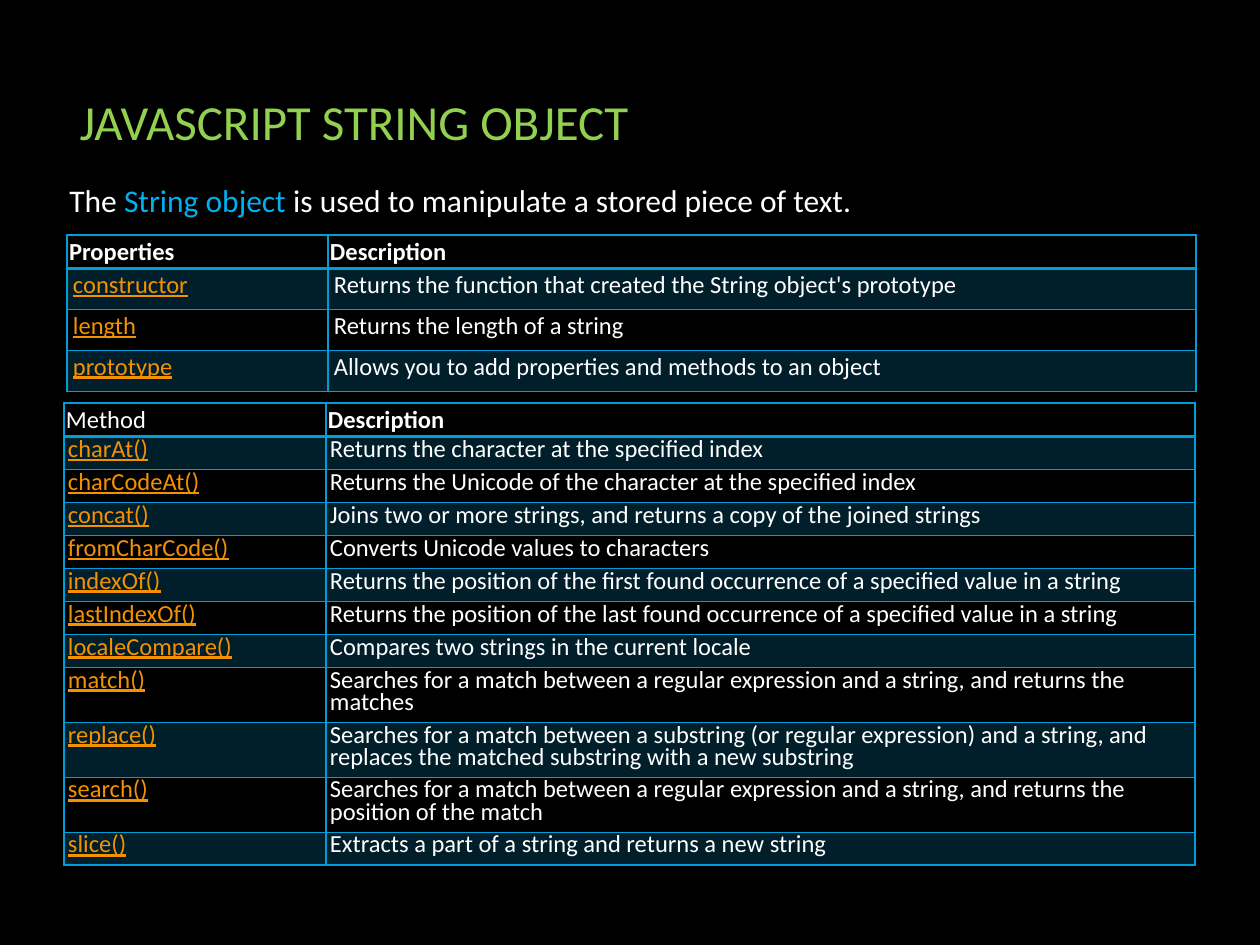
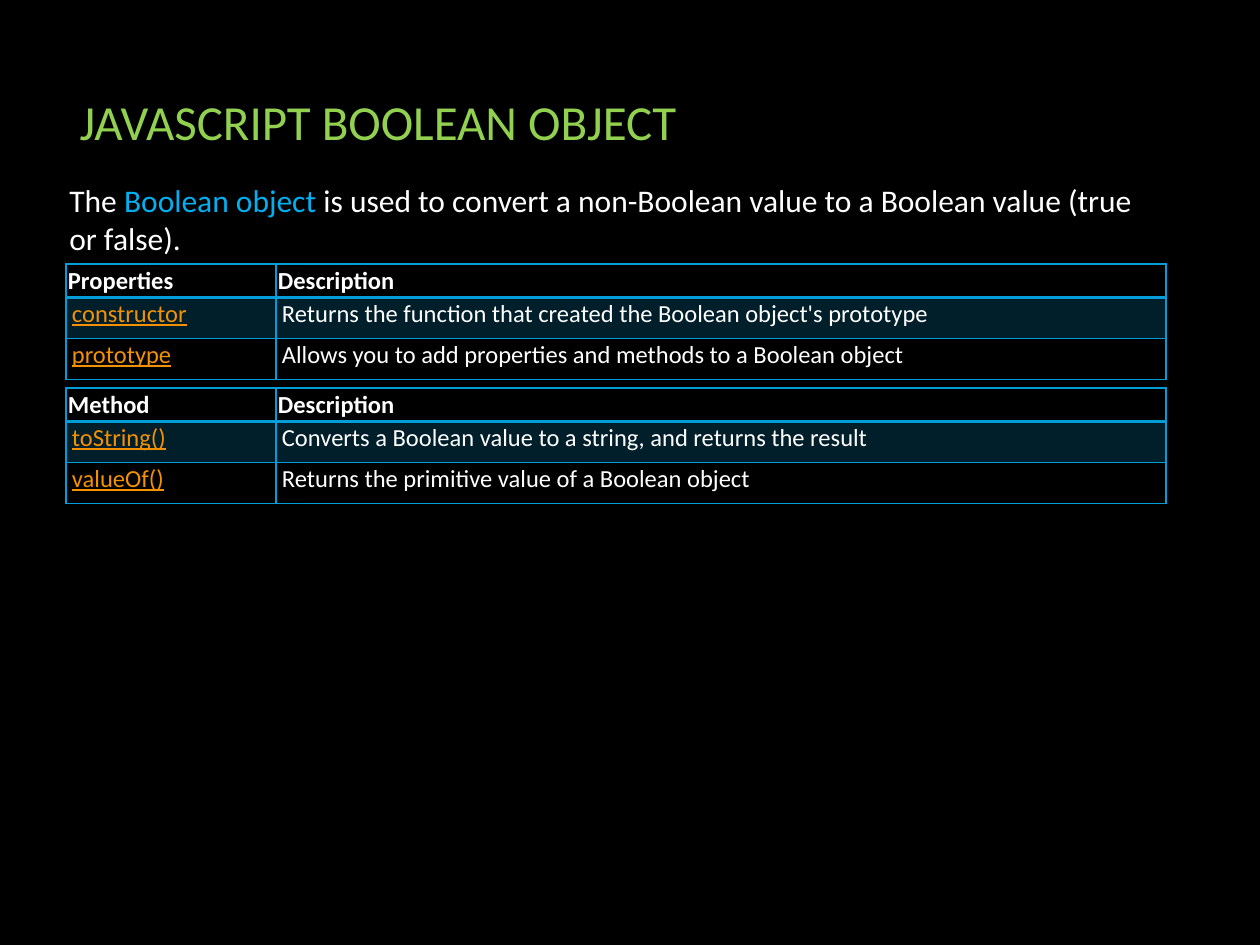
from lxml import etree
from pptx import Presentation
from pptx.dml.color import RGBColor
from pptx.enum.text import MSO_ANCHOR, MSO_AUTO_SIZE, PP_ALIGN
from pptx.oxml.ns import qn
from pptx.util import Emu, Pt

# Shared look
FONT = "Calibri"
BLACK = RGBColor(0x00, 0x00, 0x00)
WHITE = RGBColor(0xFF, 0xFF, 0xFF)
GREEN = RGBColor(0x92, 0xD0, 0x50)
SKY = RGBColor(0x00, 0xB0, 0xF0)
BLUE = RGBColor(0x00, 0x9D, 0xD9)
ORANGE = RGBColor(0xF4, 0x91, 0x00)
BAND_ALPHA = 20
LINE_SPACING = Pt(12.7)

# Cell insets (horizontal, vertical) in px
HEAD_INSET = (2, 2)
ROOMY = (6, 9)
TIGHT = (4, 5)

TITLE_BOX = (67, 76, 1128, 89)
HEAD_H, ROOMY_H, TIGHT_H, WRAPPED_H = 33, 41, 33, 55
WRAP_CHARS = 85  # longer descriptions take two lines

STRING_PROPERTIES = [
    ("constructor", "Returns the function that created the String object's prototype"),
    ("length", "Returns the length of a string"),
    ("prototype", "Allows you to add properties and methods to an object"),
]
STRING_METHODS = [
    ("charAt()", "Returns the character at the specified index"),
    ("charCodeAt()", "Returns the Unicode of the character at the specified index"),
    ("concat()", "Joins two or more strings, and returns a copy of the joined strings"),
    ("fromCharCode()", "Converts Unicode values to characters"),
    ("indexOf()", "Returns the position of the first found occurrence of a "
                  "specified value in a string"),
    ("lastIndexOf()", "Returns the position of the last found occurrence of a "
                      "specified value in a string"),
    ("localeCompare()", "Compares two strings in the current locale"),
    ("match()", "Searches for a match between a regular expression and a string, "
                "and returns the matches"),
    ("replace()", "Searches for a match between a substring (or regular expression) "
                  "and a string, and replaces the matched substring with a new substring"),
    ("search()", "Searches for a match between a regular expression and a string, "
                 "and returns the position of the match"),
    ("slice()", "Extracts a part of a string and returns a new string"),
]
BOOLEAN_PROPERTIES = [
    ("constructor", "Returns the function that created the Boolean object's prototype"),
    ("prototype", "Allows you to add properties and methods to a Boolean object"),
]
BOOLEAN_METHODS = [
    ("toString()", "Converts a Boolean value to a string, and returns the result"),
    ("valueOf()", "Returns the primitive value of a Boolean object"),
]


def px(n):
    return Emu(round(n * 914400 / 126))


def add_run(p, text, size, color, bold=False, underline=False):
    r = p.add_run()
    r.text = text
    f = r.font
    f.name, f.size, f.bold, f.underline = FONT, Pt(size), bold, underline
    f.color.rgb = color


def add_title(s, text):
    sp = s.shapes.title
    sp.left, sp.top, sp.width, sp.height = map(px, TITLE_BOX)
    tf = sp.text_frame
    tf.vertical_anchor = MSO_ANCHOR.MIDDLE
    p = tf.paragraphs[0]
    p.alignment = PP_ALIGN.LEFT
    add_run(p, text, 28, GREEN)


def add_intro(s, box, before, term, after):
    tf = s.shapes.add_textbox(*map(px, box)).text_frame
    tf.word_wrap = True
    tf.auto_size = MSO_AUTO_SIZE.SHAPE_TO_FIT_TEXT
    p = tf.paragraphs[0]
    for text, color in ((before, WHITE), (term, SKY), (after, WHITE)):
        add_run(p, text, 18, color)


def set_borders(cell, top, bottom):
    """Draw all four sides; top and bottom are widths in points."""
    tc_pr = cell._tc.get_or_add_tcPr()
    for side, width in (("L", 1), ("R", 1), ("T", top), ("B", bottom)):
        ln = etree.SubElement(tc_pr, qn(f"a:ln{side}"), w=str(Pt(width)))
        fill = etree.SubElement(ln, qn("a:solidFill"))
        etree.SubElement(fill, qn("a:srgbClr"), val=str(BLUE))


def set_band(cell, banded):
    if not banded:
        cell.fill.background()
        return
    cell.fill.solid()
    cell.fill.fore_color.rgb = BLUE
    clr = cell._tc.tcPr.find(f"{qn('a:solidFill')}/{qn('a:srgbClr')}")
    etree.SubElement(clr, qn("a:alpha"), val=str(BAND_ALPHA * 1000))


def set_insets(cell, inset):
    cell.margin_left = cell.margin_right = px(inset[0])
    cell.margin_top = cell.margin_bottom = px(inset[1])


def add_reference(s, left, top, cols, label, rows, inset=ROOMY, row_h=ROOMY_H,
                  label_bold=True):
    """Two-column table: linked name and its description."""
    heights = [HEAD_H] + [WRAPPED_H if len(text) > WRAP_CHARS else row_h
                          for _, text in rows]
    frame = s.shapes.add_table(len(heights), 2, px(left), px(top),
                               px(sum(cols)), px(sum(heights)))
    table = frame.table
    for col, w in zip(table.columns, cols):
        col.width = px(w)
    for row, h in zip(table.rows, heights):
        row.height = px(h)

    for i, texts in enumerate([(label, "Description"), *rows]):
        for j, text in enumerate(texts):
            cell = table.cell(i, j)
            p = cell.text_frame.paragraphs[0]
            set_borders(cell, 2 if i == 1 else 1, 2 if i == 0 else 1)
            set_band(cell, i % 2 == 1)
            if i == 0:
                set_insets(cell, HEAD_INSET)
                cell.vertical_anchor = MSO_ANCHOR.MIDDLE
                add_run(p, text, 14, WHITE, bold=j == 1 or label_bold)
            else:
                set_insets(cell, inset)
                p.line_spacing = LINE_SPACING
                add_run(p, text, 14, WHITE if j else ORANGE, underline=j == 0)


def string_slide(s):
    add_title(s, "JAVASCRIPT STRING OBJECT")
    add_intro(s, (57, 175, 1121, 50), "The ", "String object",
              " is used to manipulate a stored piece of text.")
    add_reference(s, 67, 235, (261, 868), "Properties", STRING_PROPERTIES)
    add_reference(s, 64, 403, (262, 869), "Method", STRING_METHODS,
                  TIGHT, TIGHT_H, label_bold=False)


def boolean_slide(s):
    add_title(s, "JAVASCRIPT BOOLEAN OBJECT")
    add_intro(s, (57, 175, 1121, 89), "The ", "Boolean object ",
              "is used to convert a non-Boolean value to a Boolean value (true or false).")
    cols = (210, 890)
    add_reference(s, 66, 264, cols, "Properties", BOOLEAN_PROPERTIES)
    add_reference(s, 66, 388, cols, "Method", BOOLEAN_METHODS)


def main():
    prs = Presentation()
    prs.slide_width, prs.slide_height = px(1260), px(945)
    bg = prs.slide_master.background.fill
    bg.solid()
    bg.fore_color.rgb = BLACK
    title_only = prs.slide_layouts[5]
    for build in (string_slide, boolean_slide):
        build(prs.slides.add_slide(title_only))
    prs.save("out.pptx")


if __name__ == "__main__":
    main()
